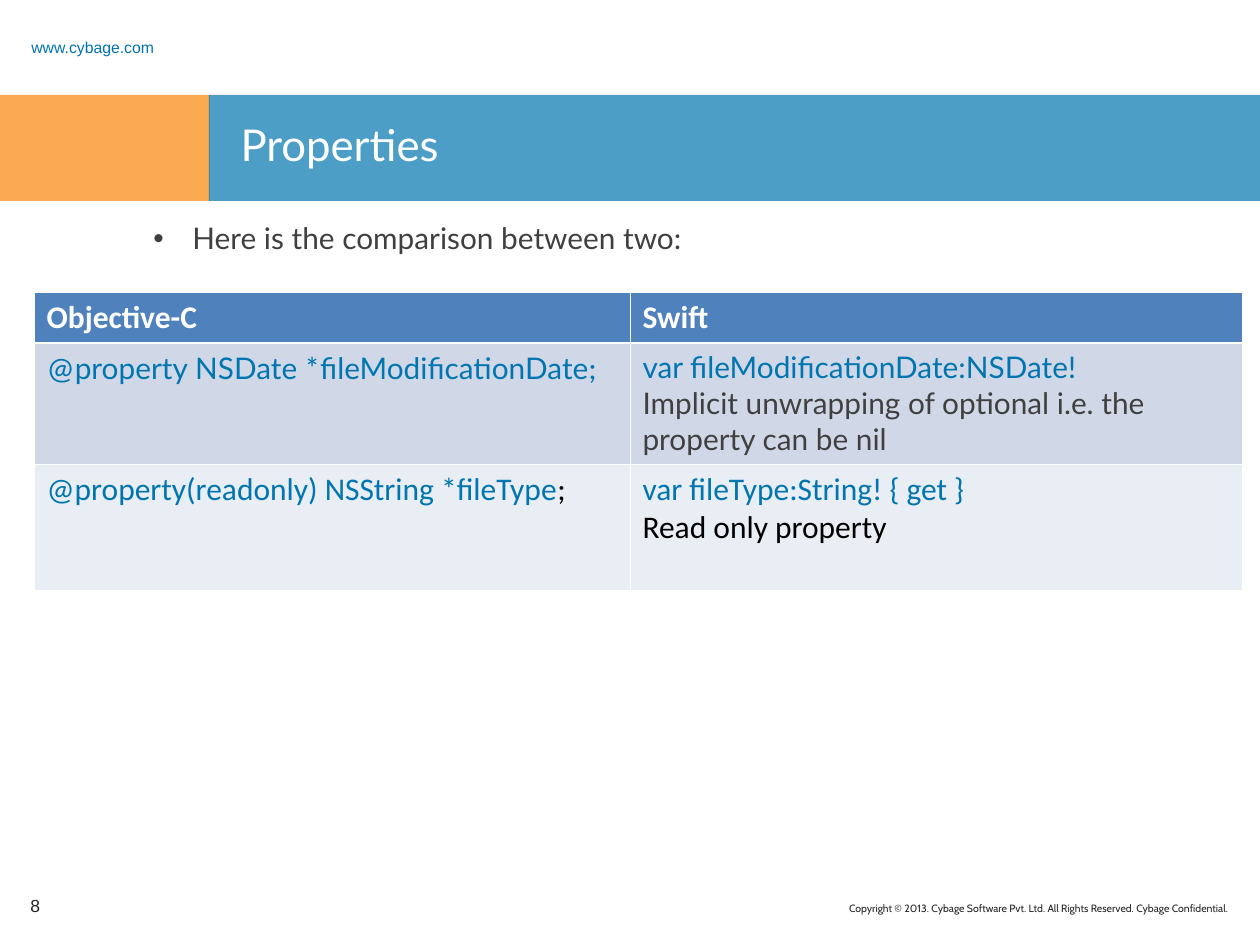
"""Build a slide comparing property declarations in Objective-C and Swift."""
from dataclasses import dataclass
from typing import Any

from lxml.etree import SubElement
from pptx import Presentation
from pptx.dml.color import RGBColor
from pptx.enum.shapes import MSO_SHAPE
from pptx.enum.text import MSO_ANCHOR, MSO_AUTO_SIZE, PP_ALIGN
from pptx.oxml.ns import qn
from pptx.util import Emu, Pt

WHITE = RGBColor(0xFF, 0xFF, 0xFF)
BLACK = RGBColor(0x00, 0x00, 0x00)
CHARCOAL = RGBColor(0x26, 0x26, 0x26)
GREY = RGBColor(0x40, 0x40, 0x40)
BLUE = RGBColor(0x00, 0x75, 0xB0)
ORANGE = RGBColor(0xF8, 0x86, 0x08)
HEADER_FILL = RGBColor(0x4F, 0x81, 0xBD)
ROW_FILLS = [HEADER_FILL, RGBColor(0xD0, 0xD8, 0xE8), RGBColor(0xE9, 0xED, 0xF4)]
COLUMN_WIDTHS = [596, 612]
ROW_HEIGHTS = [51, 121, 126]
THIN, THICK = Pt(0.45), Pt(1.47)


@dataclass(frozen=True)
class Frame:
    left: int
    top: int
    width: int
    height: int

    def emu(self) -> tuple[Emu, ...]:
        """Give the frame as EMU lengths."""
        return px(self.left), px(self.top), px(self.width), px(self.height)


@dataclass(frozen=True)
class Span:
    text: str
    size: int = 18
    font: str = "Calibri"
    color: RGBColor = BLUE
    bold: bool = False


@dataclass(frozen=True)
class Label:
    frame: Frame
    span: Span
    anchor: MSO_ANCHOR = MSO_ANCHOR.TOP
    align: PP_ALIGN = PP_ALIGN.LEFT
    spacing: float = 1.0


@dataclass(frozen=True)
class Bar:
    frame: Frame
    color: RGBColor


BARS = [
    Bar(Frame(0, 95, 210, 106), ORANGE),
    Bar(Frame(209, 95, 1051, 106), BLUE),
]
TITLE = Label(Frame(228, 111, 1000, 78), Span("Properties", 25, "Lato", WHITE))
BODY = Label(Frame(141, 214, 1089, 655),
             Span("Here is the comparison between two:", 17, "Lato", GREY))
LABELS = [
    Label(Frame(514, 896, 726, 33),
          Span("Copyright © 2013. Cybage Software Pvt. Ltd. All Rights Reserved. "
               "Cybage Confidential.", 6, "Cabin", CHARCOAL), align=PP_ALIGN.RIGHT),
    Label(Frame(19, 30, 189, 24), Span("www.cybage.com", 9, "Arial"),
          MSO_ANCHOR.MIDDLE, spacing=1.5),
    Label(Frame(18, 881, 68, 50), Span("8", 10, "Arial", CHARCOAL), MSO_ANCHOR.MIDDLE),
]
ROWS = [
    [
        [[Span("Objective-C", color=WHITE, bold=True)]],
        [[Span("Swift", color=WHITE, bold=True)]],
    ],
    [
        [[Span("@"), Span("property", 17, "Lato"), Span(" "), Span("NSDate", 17, "Lato"),
          Span(" *"), Span("fileModificationDate", 17, "Lato"), Span(";")]],
        [[Span("var fileModificationDate:NSDate!", 17, "Lato")],
         [Span("Implicit unwrapping of optional i.e. the property can be nil",
               17, "Lato", GREY)]],
    ],
    [
        [[Span("@property(readonly) NSString *fileType"), Span(";", color=BLACK)]],
        [[Span("var fileType:String! { get }")],
         [Span("Read only property", color=BLACK)]],
    ],
]


def px(length: int) -> Emu:
    """Turn pixels at 126 to the inch into EMU."""
    return Emu(round(length * 914400 / 126))


def add_span(para: Any, span: Span) -> None:
    """Add one formatted run to a paragraph."""
    run = para.add_run()
    run.text = span.text
    run.font.size = Pt(span.size)
    run.font.name = span.font
    run.font.bold = span.bold
    run.font.color.rgb = span.color


def write_label(box: Any, label: Label) -> None:
    """Place a text shape and write its label."""
    box.left, box.top, box.width, box.height = label.frame.emu()
    text = box.text_frame
    text.word_wrap = True
    text.auto_size = MSO_AUTO_SIZE.NONE
    text.vertical_anchor = label.anchor
    para = text.paragraphs[0]
    para.alignment = label.align
    para.line_spacing = label.spacing
    add_span(para, label.span)


def add_label(page: Any, label: Label) -> Any:
    """Add a text box holding a label."""
    box = page.shapes.add_textbox(*label.frame.emu())
    write_label(box, label)
    return box


def add_bar(page: Any, bar: Bar) -> None:
    """Add a borderless bar of 70 percent opacity."""
    shape = page.shapes.add_shape(MSO_SHAPE.RECTANGLE, *bar.frame.emu())
    shape.shadow.inherit = False
    shape.line.fill.background()
    shape.fill.solid()
    shape.fill.fore_color.rgb = bar.color
    color = next(shape.element.spPr.iter(qn("a:srgbClr")))
    SubElement(color, qn("a:alpha"), val="70000")


def add_bullet(para: Any) -> None:
    """Give a paragraph a hanging bullet."""
    properties = para._p.get_or_add_pPr()
    properties.set("marL", str(px(39)))
    properties.set("indent", str(-px(39)))
    SubElement(properties, qn("a:buFont"), typeface="Arial")
    SubElement(properties, qn("a:buChar"), char="•")


def set_border(cell: Any, side: str, width: Emu) -> None:
    """Draw a white line on one side of a cell."""
    line = SubElement(cell._tc.get_or_add_tcPr(), qn(f"a:ln{side}"), w=str(width))
    fill = SubElement(line, qn("a:solidFill"))
    SubElement(fill, qn("a:srgbClr"), val=str(WHITE))


def fill_cell(cell: Any, row: int, paragraphs: list[list[Span]]) -> None:
    """Write, outline and colour one table cell."""
    for index, spans in enumerate(paragraphs):
        text = cell.text_frame
        para = text.add_paragraph() if index else text.paragraphs[0]
        for span in spans:
            add_span(para, span)
    widths = {"L": THIN, "R": THIN, "T": THICK if row == 1 else THIN,
              "B": THICK if row == 0 else THIN}
    for side, width in widths.items():
        set_border(cell, side, width)
    cell.fill.solid()
    cell.fill.fore_color.rgb = ROW_FILLS[row]


def add_comparison(page: Any) -> None:
    """Add the table of both languages."""
    frame = Frame(34, 292, sum(COLUMN_WIDTHS), sum(ROW_HEIGHTS))
    table = page.shapes.add_table(len(ROWS), len(COLUMN_WIDTHS), *frame.emu()).table
    for column, width in zip(table.columns, COLUMN_WIDTHS):
        column.width = px(width)
    for index, (row, height) in enumerate(zip(table.rows, ROW_HEIGHTS)):
        row.height = px(height)
        for cell, paragraphs in zip(row.cells, ROWS[index]):
            fill_cell(cell, index, paragraphs)


def main() -> None:
    """Build and save the deck."""
    deck = Presentation()
    deck.slide_width, deck.slide_height = px(1260), px(945)
    page = deck.slides.add_slide(deck.slide_layouts[5])
    for bar in BARS:
        add_bar(page, bar)
    title = page.shapes.title
    title.element.getparent().append(title.element)
    write_label(title, TITLE)
    for label in LABELS:
        add_label(page, label)
    add_bullet(add_label(page, BODY).text_frame.paragraphs[0])
    add_comparison(page)
    deck.save("out.pptx")


if __name__ == "__main__":
    main()
